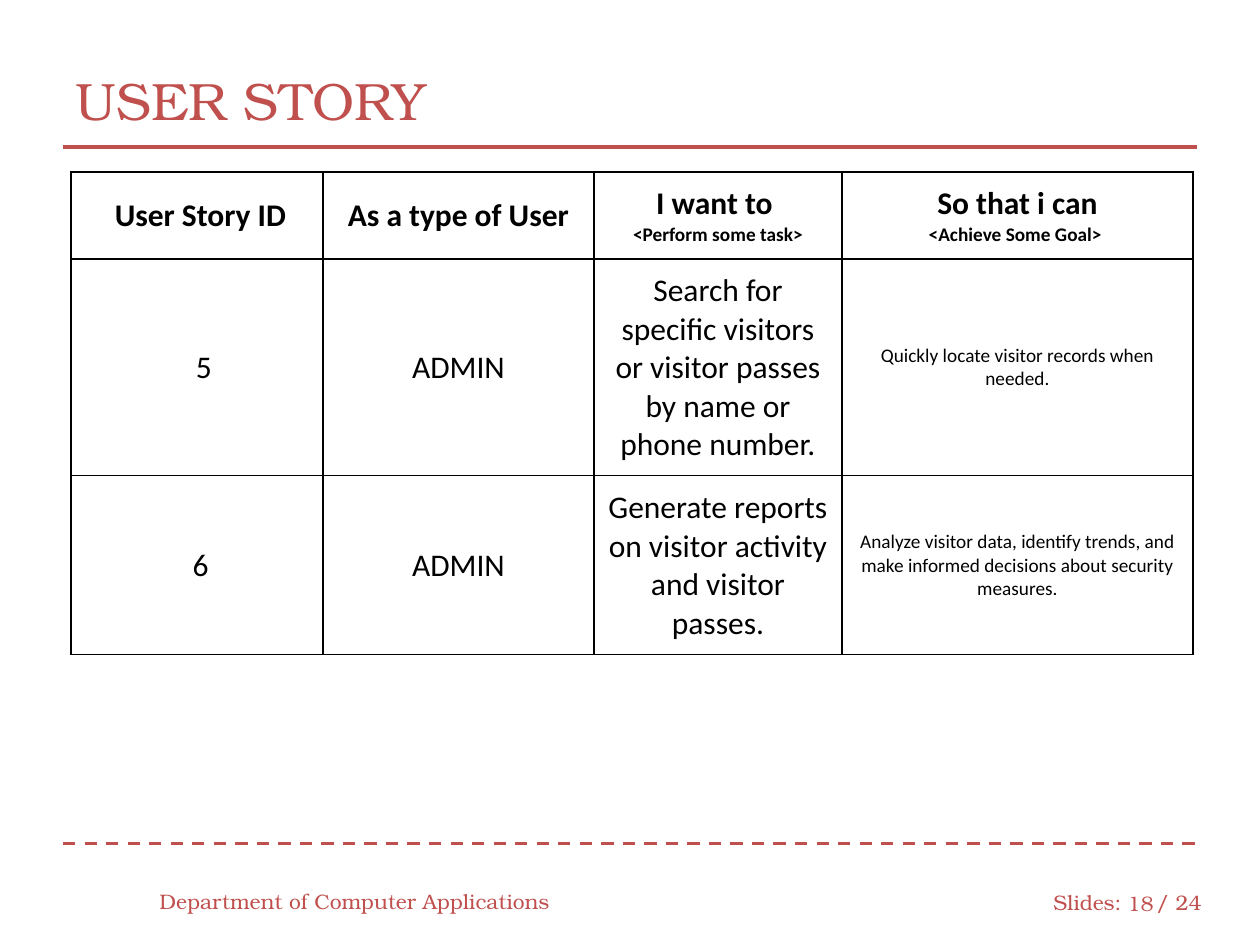
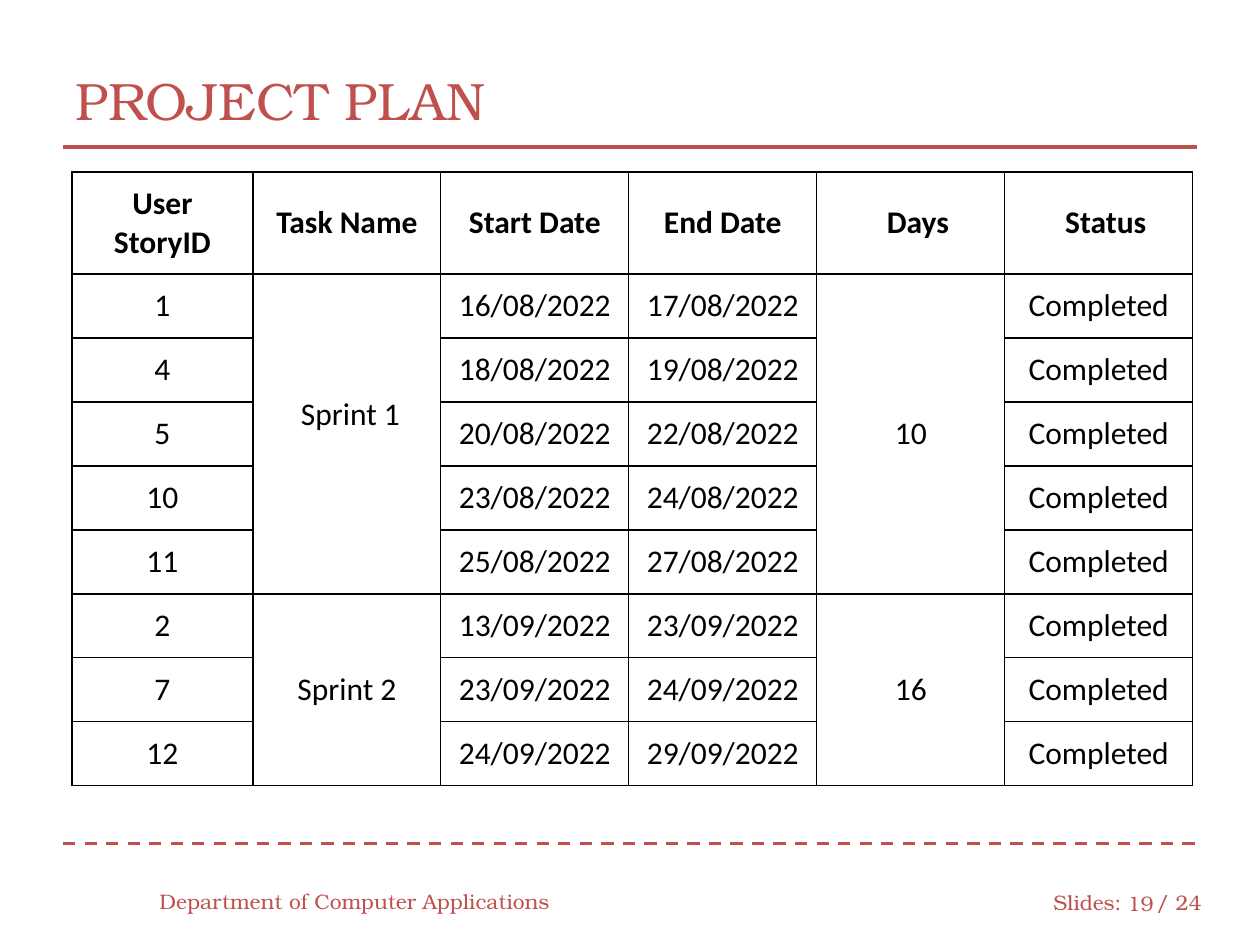
"""Build the user story and project plan slides."""
from lxml.etree import SubElement
from pptx import Presentation
from pptx.dml.color import RGBColor
from pptx.enum.dml import MSO_LINE
from pptx.enum.shapes import MSO_CONNECTOR
from pptx.enum.text import MSO_ANCHOR, PP_ALIGN
from pptx.oxml.ns import qn
from pptx.util import Emu, Pt

RED = RGBColor(0xC0, 0x50, 0x4D)
BLACK = RGBColor(0x00, 0x00, 0x00)
WHITE = RGBColor(0xFF, 0xFF, 0xFF)
HEADING_FONT, TABLE_FONT = "TeX Gyre Bonum", "Calibri"
SCALE = 914400 / 126
CELL_MARGIN = 13
BODY_SIZE, SMALL_SIZE = 18, 11
SMALL_LINES = {
    "<Perform some task>",
    "<Achieve Some Goal> ",
    "Quickly locate visitor records when needed.",
    "Analyze visitor data, identify trends, and make informed decisions about security measures.",
}

SPRINTS = [
    ("Sprint 1", "10", [
        ("1", "16/08/2022", "17/08/2022"),
        ("4", "18/08/2022", "19/08/2022"),
        ("5", "20/08/2022", "22/08/2022"),
        ("10", "23/08/2022", "24/08/2022"),
        ("11", "25/08/2022", "27/08/2022"),
    ]),
    ("Sprint 2", "16", [
        ("2", "13/09/2022", "23/09/2022"),
        ("7", "23/09/2022", "24/09/2022"),
        ("12", "24/09/2022", "29/09/2022"),
    ]),
]

USER_STORIES = {
    "title": "USER STORY",
    "number": "18",
    "origin": (71, 172),
    "columns": [252, 271, 248, 351],
    "heights": [87, 217, 179],
    "rows": [
        ["User Story ID", "As a type of User", "I want to \n<Perform some task>",
         "So that i can\n<Achieve Some Goal> "],
        ["5", "ADMIN", "Search for specific visitors or visitor passes by name or phone number.",
         "Quickly locate visitor records when needed."],
        ["6", "ADMIN", "Generate reports on visitor activity and visitor passes.",
         "Analyze visitor data, identify trends, and make informed decisions about "
         "security measures."],
    ],
    "merges": [],
    "extra_left": {(0, 0): 7, (1, 0): 14, (2, 0): 7},
    "extra_bottom": {},
}


def plan_rows():
    """Return the project plan rows and the (first, last, column) merges."""
    rows = [["User\nStoryID", "Task Name", "Start Date", "End Date", "Days", "Status"]]
    merges = []
    for sprint, days, stories in SPRINTS:
        first = len(rows)
        for index, (story, start, end) in enumerate(stories):
            name, length = (sprint, days) if index == 0 else ("", "")
            rows.append([story, name, start, end, length, "Completed"])
        merges += [(first, len(rows) - 1, column) for column in (1, 4)]
    return rows, merges


PLAN_ROWS, PLAN_MERGES = plan_rows()
PROJECT_PLAN = {
    "title": "PROJECT PLAN",
    "number": "19",
    "origin": (72, 172),
    "columns": [181] + [188] * 5,
    "heights": [102] + [64] * (len(PLAN_ROWS) - 1),
    "rows": PLAN_ROWS,
    "merges": PLAN_MERGES,
    "extra_left": {(0, 4): 14, (0, 5): 14, (1, 1): 7},
    "extra_bottom": {(1, 1): 38},
}


def px(length):
    """Turn pixels into EMU."""
    return Emu(round(length * SCALE))


def add_run(paragraph, text, size, font, color, bold=False):
    """Add one formatted run."""
    run = paragraph.add_run()
    run.text = text
    run.font.size = Pt(size)
    run.font.name = font
    run.font.color.rgb = color
    run.font.bold = bold


def write_label(shape, box, text, size, align=PP_ALIGN.LEFT):
    """Place a shape and give it one line of red heading text."""
    shape.left, shape.top, shape.width, shape.height = map(px, box)
    frame = shape.text_frame
    frame.word_wrap = True
    frame.vertical_anchor = MSO_ANCHOR.MIDDLE
    paragraph = frame.paragraphs[0]
    paragraph.alignment = align
    add_run(paragraph, text, size, HEADING_FONT, RED)


def add_rule(slide, top, dash=None):
    """Draw a red rule across the slide."""
    rule = slide.shapes.add_connector(
        MSO_CONNECTOR.STRAIGHT, px(63), px(top), px(1197), px(top))
    rule.line.color.rgb = RED
    rule.line.width = Pt(1.75)
    if dash:
        rule.line.dash_style = dash
    SubElement(rule._element.spPr, qn("a:effectLst"))


def add_frame(slide, title, number):
    """Add the title, rules and footer that the slides share."""
    footers = [
        ((1041, 877, 95, 50), "Slides:", PP_ALIGN.LEFT),
        ((1144, 877, 73, 50), "/ 24", PP_ALIGN.LEFT),
        ((147, 876, 420, 50), "Department of Computer Applications", PP_ALIGN.LEFT),
        ((1113, 878, 53, 50), number, PP_ALIGN.RIGHT),
    ]
    add_rule(slide, 844, MSO_LINE.DASH)
    add_rule(slide, 147)
    write_label(slide.shapes.title, (63, 42, 1134, 116), title, 30)
    for box, text, align in footers:
        write_label(slide.shapes.add_textbox(*map(px, box)), box, text, 12, align)


def add_borders(cell):
    """Give a cell thin black borders on all sides."""
    properties = cell._tc.get_or_add_tcPr()
    for side in ("a:lnL", "a:lnR", "a:lnT", "a:lnB"):
        line = SubElement(properties, qn(side), w=str(Pt(0.75)))
        fill = SubElement(line, qn("a:solidFill"))
        SubElement(fill, qn("a:srgbClr"), val=str(BLACK))


def fill_cell(cell, text, bold, extra_left, extra_bottom):
    """Format a cell and write its lines."""
    add_borders(cell)
    cell.fill.solid()
    cell.fill.fore_color.rgb = WHITE
    cell.vertical_anchor = MSO_ANCHOR.MIDDLE
    cell.margin_right = cell.margin_top = px(CELL_MARGIN)
    cell.margin_left = px(CELL_MARGIN + extra_left)
    cell.margin_bottom = px(CELL_MARGIN + extra_bottom)
    if not text:
        return
    frame = cell.text_frame
    for index, line in enumerate(text.split("\n")):
        paragraph = frame.add_paragraph() if index else frame.paragraphs[0]
        paragraph.alignment = PP_ALIGN.CENTER
        size = SMALL_SIZE if line in SMALL_LINES else BODY_SIZE
        add_run(paragraph, line, size, TABLE_FONT, BLACK, bold)


def add_grid(slide, content):
    """Add the table of one slide."""
    rows, columns, heights = content["rows"], content["columns"], content["heights"]
    box = (*content["origin"], sum(columns), sum(heights))
    table = slide.shapes.add_table(len(rows), len(columns), *map(px, box)).table
    table.horz_banding = False
    for column, width in zip(table.columns, columns):
        column.width = px(width)
    for row, height in zip(table.rows, heights):
        row.height = px(height)
    for row_index, row in enumerate(rows):
        for column_index, text in enumerate(row):
            place = (row_index, column_index)
            fill_cell(table.cell(*place), text, row_index == 0,
                      content["extra_left"].get(place, 0),
                      content["extra_bottom"].get(place, 0))
    for first, last, column in content["merges"]:
        table.cell(first, column).merge(table.cell(last, column))


def main():
    """Build and save the presentation."""
    presentation = Presentation()
    presentation.slide_width, presentation.slide_height = px(1260), px(945)
    for content in (USER_STORIES, PROJECT_PLAN):
        slide = presentation.slides.add_slide(presentation.slide_layouts[5])
        add_frame(slide, content["title"], content["number"])
        add_grid(slide, content)
    presentation.save("out.pptx")


if __name__ == "__main__":
    main()
